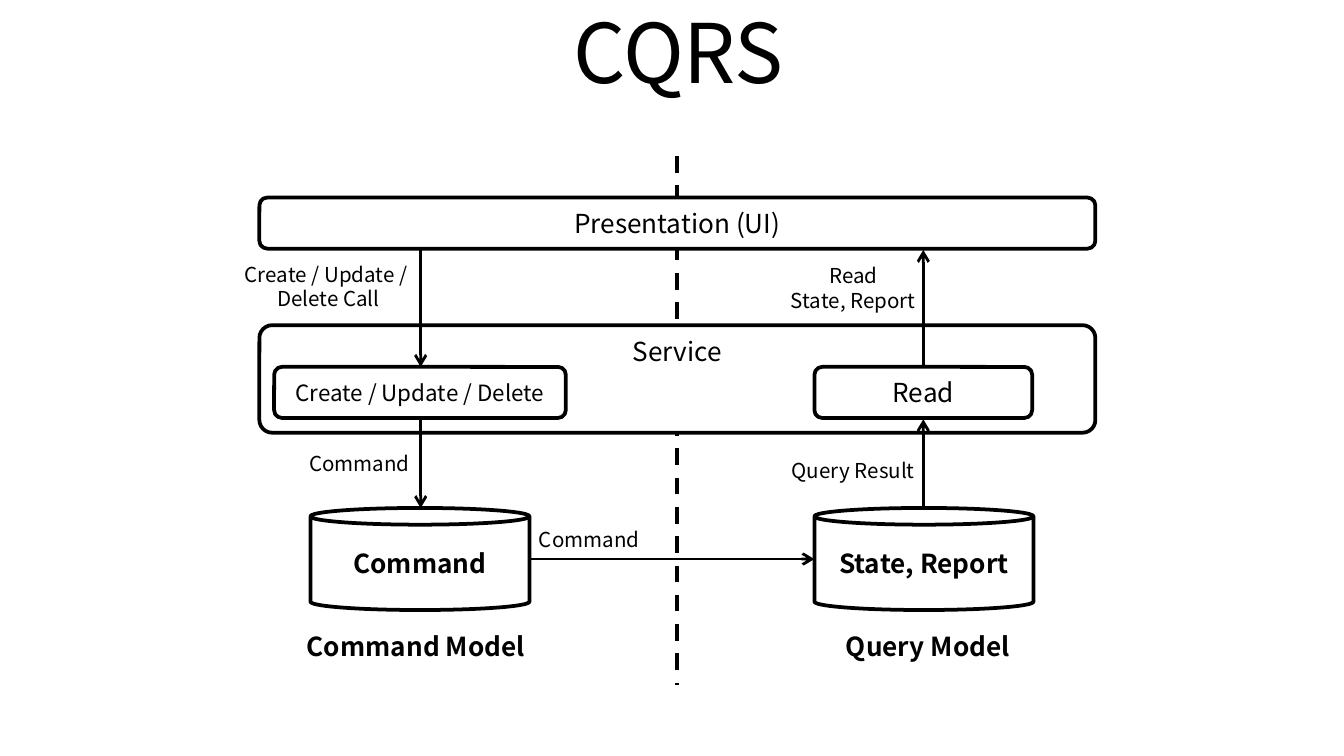
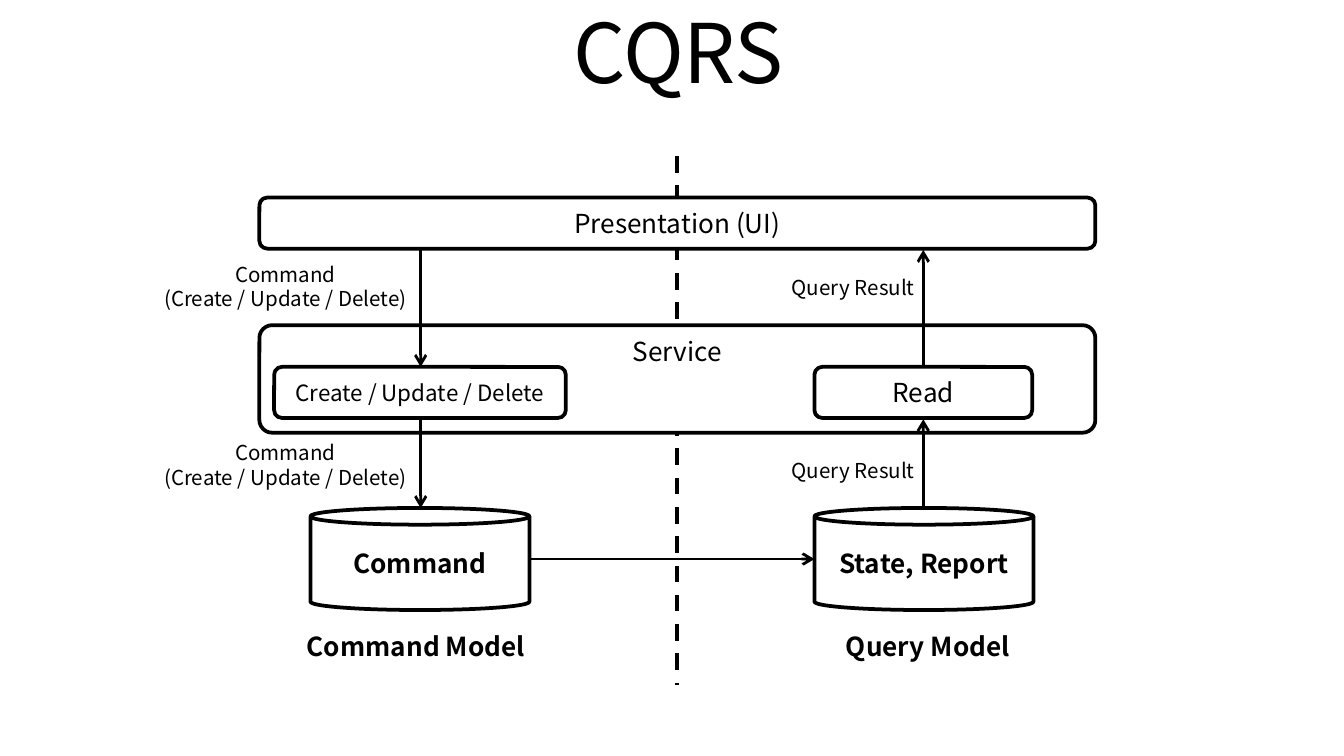
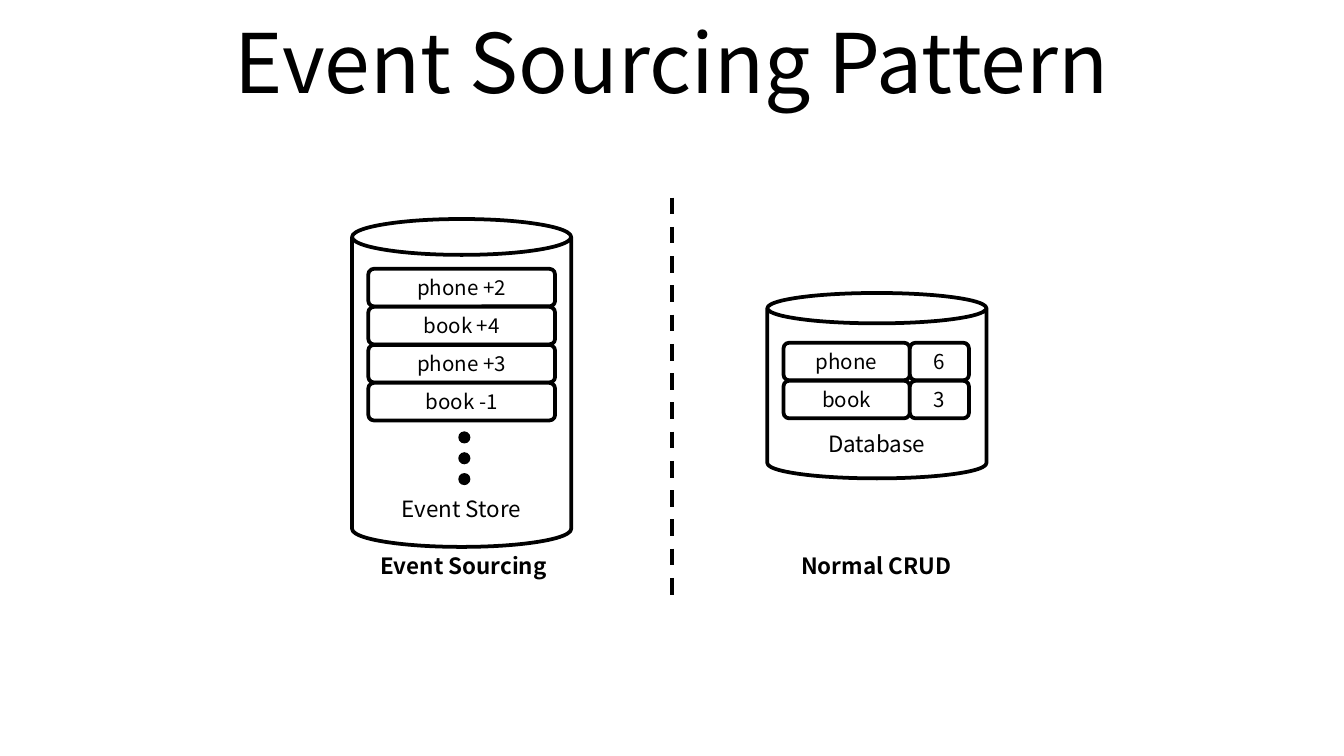
from dataclasses import dataclass

from lxml import etree
from pptx import Presentation
from pptx.dml.color import RGBColor
from pptx.enum import dml, shapes, text
from pptx.oxml import ns
from pptx.shapes.autoshape import Shape
from pptx.shapes.connector import Connector
from pptx.slide import Slide
from pptx.text.text import TextFrame
from pptx.util import Inches, Pt

SHAPE = shapes.MSO_SHAPE
ANCHOR = text.MSO_ANCHOR


@dataclass(frozen=True)
class Theme:
    font: str = "Noto Sans CJK KR"
    ink: RGBColor = RGBColor(0, 0, 0)
    paper: RGBColor = RGBColor(255, 255, 255)
    title: int = 44
    large: int = 14
    medium: int = 12
    small: int = 11
    outline: float = 2
    arrow: float = 1.5
    divider: float = 2.25


THEME = Theme()


@dataclass(frozen=True)
class Node:
    text: str
    left: float
    top: float
    width: float
    height: float = 0.38
    size: int = THEME.large
    bold: bool = False
    kind: SHAPE = SHAPE.ROUNDED_RECTANGLE
    adjust: float = 0.152
    anchor: ANCHOR = ANCHOR.MIDDLE
    outlined: bool = True


@dataclass(frozen=True)
class Link:
    x1: float
    y1: float
    x2: float
    y2: float


def can(label: str, left: float, top: float, height: float = 0.76, size: int = THEME.large,
        bold: bool = True, anchor: ANCHOR = ANCHOR.MIDDLE) -> Node:
    return Node(label, left, top, 1.63, height, size, bold, SHAPE.CAN, 0.164, anchor)


def label(words: str, left: float, top: float, width: float = 2.13,
          size: int = THEME.small, bold: bool = False) -> Node:
    return Node(words, left, top, width, size=size, bold=bold, outlined=False)


def write(tf: TextFrame, words: str, size: int, bold: bool = False) -> None:
    tf.word_wrap = True
    for i, line in enumerate(words.split("\n")):
        p = tf.add_paragraph() if i else tf.paragraphs[0]
        p.text = line
        p.alignment = text.PP_ALIGN.CENTER
        p.font.name = THEME.font
        p.font.size = Pt(size)
        p.font.bold = bold
        p.font.color.rgb = THEME.ink


def draw_title(s: Slide, words: str, left: float, top: float) -> None:
    tf = s.shapes.add_textbox(Inches(left), Inches(top), Inches(9), Inches(0.94)).text_frame
    tf.vertical_anchor = ANCHOR.MIDDLE
    write(tf, words, THEME.title)


def draw_node(s: Slide, node: Node) -> Shape:
    sp = s.shapes.add_shape(node.kind, Inches(node.left), Inches(node.top),
                            Inches(node.width), Inches(node.height))
    sp.shadow.inherit = False
    sp.adjustments[0] = node.adjust
    if node.outlined:
        sp.fill.solid()
        sp.fill.fore_color.rgb = THEME.paper
        sp.line.color.rgb = THEME.ink
        sp.line.width = Pt(THEME.outline)
    else:
        sp.fill.background()
        sp.line.fill.background()
    sp.text_frame.vertical_anchor = node.anchor
    write(sp.text_frame, node.text, node.size, node.bold)
    return sp


def draw_dot(s: Slide, left: float, top: float) -> None:
    sp = s.shapes.add_shape(SHAPE.OVAL, Inches(left), Inches(top), Inches(0.09), Inches(0.09))
    sp.shadow.inherit = False
    sp.fill.solid()
    sp.fill.fore_color.rgb = THEME.ink
    sp.line.fill.background()


def draw_line(s: Slide, link: Link, width: float) -> Connector:
    cxn = s.shapes.add_connector(shapes.MSO_CONNECTOR.STRAIGHT, Inches(link.x1),
                                 Inches(link.y1), Inches(link.x2), Inches(link.y2))
    cxn.line.color.rgb = THEME.ink
    cxn.line.width = Pt(width)
    etree.SubElement(cxn._element.spPr, ns.qn("a:effectLst"))
    return cxn


def draw_divider(s: Slide, x: float, top: float, bottom: float) -> None:
    cxn = draw_line(s, Link(x, top, x, bottom), THEME.divider)
    cxn.line.dash_style = dml.MSO_LINE.DASH


def draw_arrow(s: Slide, link: Link) -> None:
    cxn = draw_line(s, link, THEME.arrow)
    etree.SubElement(cxn.line._get_or_add_ln(), ns.qn("a:tailEnd"), type="arrow")


COMMAND_X, QUERY_X = 3.13, 6.87
CQRS_NODES = [
    Node("Service", 1.93, 2.42, 6.22, 0.8, adjust=0.119, anchor=ANCHOR.TOP),
    Node("Presentation (UI)", 1.93, 1.47, 6.22),
    Node("Create / Update / Delete", 2.04, 2.73, 2.17, size=THEME.medium),
    Node("Read", 6.06, 2.73, 1.62),
    can("Command", 2.31, 3.78),
    can("State, Report", 6.06, 3.78),
    label("Command Model", 2.06, 4.62, 2.07, THEME.large, True),
    label("Query Model", 5.87, 4.62, 2.07, THEME.large, True),
    label("Query Result", 5.6, 3.31, 1.5),
]
CQRS_LINKS = [
    Link(COMMAND_X, 1.86, COMMAND_X, 2.73),
    Link(COMMAND_X, 3.12, COMMAND_X, 3.78),
    Link(QUERY_X, 3.78, QUERY_X, 3.12),
    Link(QUERY_X, 2.73, QUERY_X, 1.86),
    Link(3.94, 4.16, 6.06, 4.16),
]
CALL_LABELS = [
    label("Create / Update / \nDelete Call", 1.38, 1.94),
    label("Read\nState, Report", 5.6, 1.95, 1.5),
    label("Command", 1.61, 3.26),
    label("Command", 3.32, 3.82),
]
COMMAND_TEXT = "Command\n(Create / Update / Delete)"
COMMAND_LABELS = [
    label(COMMAND_TEXT, 1.06, 1.94),
    label("Query Result", 5.6, 1.95, 1.5),
    label(COMMAND_TEXT, 1.06, 3.27),
]


def cqrs_slide(s: Slide, labels: list[Node]) -> None:
    draw_divider(s, 5.04, 1.16, 5.1)
    draw_title(s, "CQRS", 0.55, -0.09)
    for node in CQRS_NODES:
        draw_node(s, node)
    for link in CQRS_LINKS:
        draw_arrow(s, link)
    for node in labels:
        draw_node(s, node)


def draw_rows(s: Slide, rows: list[tuple[str, ...]], left: float, top: float,
              widths: tuple[float, ...]) -> None:
    pitch = 0.283
    for i, row in enumerate(rows):
        for j, (words, width) in enumerate(zip(row, widths)):
            draw_node(s, Node(words, left + sum(widths[:j]), top + i * pitch,
                              width, 0.28, THEME.small))


def event_sourcing_slide(s: Slide) -> None:
    draw_title(s, "Event Sourcing Pattern", 0.5, -0.02)
    draw_node(s, can("Event Store", 2.62, 1.63, 2.44, THEME.medium, False, ANCHOR.BOTTOM))
    draw_node(s, can("Database", 5.71, 2.18, 1.38, THEME.medium, False, ANCHOR.BOTTOM))
    events = [("phone +2",), ("book +4",), ("phone +3",), ("book -1",)]
    draw_rows(s, events, 2.74, 2, (1.39,))
    draw_rows(s, [("phone", "6"), ("book", "3")], 5.83, 2.55, (0.94, 0.44))
    for i in range(3):
        draw_dot(s, 3.41, 3.21 + i * 0.155)
    draw_divider(s, 5, 1.47, 4.47)
    for words, left in (("Event Sourcing", 2.7), ("Normal CRUD", 5.77)):
        draw_node(s, label(words, left, 4.02, 1.5, THEME.medium, True))


def main() -> None:
    prs = Presentation()
    prs.slide_width = Inches(10)
    prs.slide_height = prs.slide_width * 9 // 16
    blank = prs.slide_layouts[6]
    for labels in (CALL_LABELS, COMMAND_LABELS):
        cqrs_slide(prs.slides.add_slide(blank), labels)
    event_sourcing_slide(prs.slides.add_slide(blank))
    prs.save("out.pptx")


if __name__ == "__main__":
    main()
